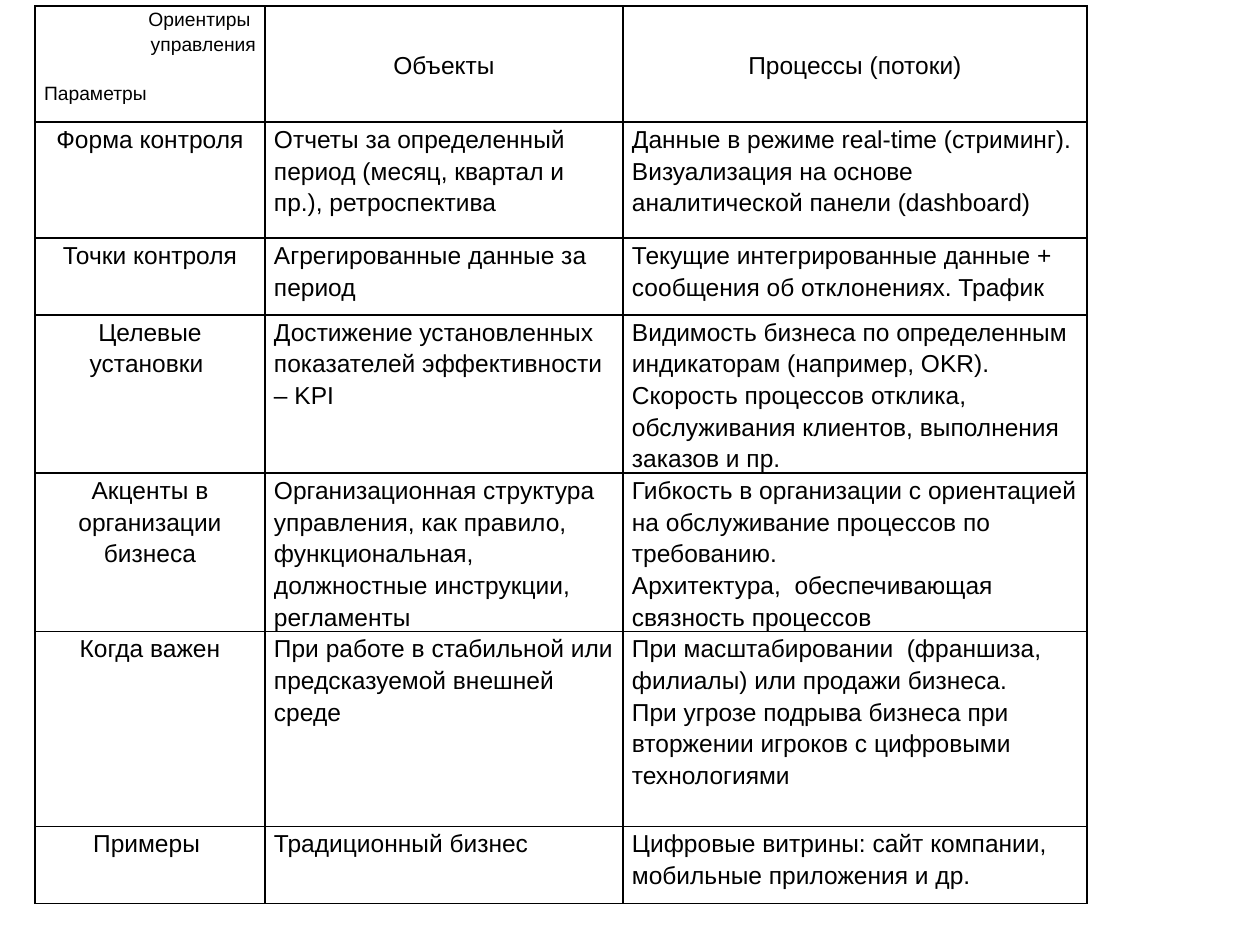
"""Build a slide with a table comparing object and process management."""
from dataclasses import dataclass

from lxml import etree
from pptx import Presentation
from pptx.dml.color import RGBColor
from pptx.enum.text import MSO_ANCHOR, PP_ALIGN
from pptx.oxml.ns import qn
from pptx.util import Pt

PX = 914400 // 126


@dataclass(frozen=True)
class Theme:
    font: str = "Arial"
    text: str = "000000"
    border: str = "000000"
    body_size: int = 14
    corner_size: int = 11
    line_spacing: float = 1.15
    border_width: int = 1


THEME = Theme()
SLIDE_SIZE = (1260, 945)
TABLE_ORIGIN = (35, 6)
COLUMN_WIDTHS = (230, 358, 464)
ROW_HEIGHTS = (116, 116, 77, 157, 157, 195, 77)
CELL_INSET = 9
CORNER_GAP = 25

HEADERS = ("Объекты", "Процессы (потоки)")
ROWS = (
    ("Форма контроля",
     "Отчеты за определенный период (месяц, квартал и пр.), ретроспектива",
     "Данные в режиме real-time (стриминг). Визуализация на основе "
     "аналитической панели (dashboard)"),
    ("Точки контроля",
     "Агрегированные данные за период",
     "Текущие интегрированные данные + сообщения об отклонениях. Трафик"),
    ("Целевые установки ",
     "Достижение установленных показателей эффективности – KPI",
     "Видимость бизнеса по определенным индикаторам (например, OKR). "
     "Скорость процессов отклика, обслуживания клиентов, выполнения "
     "заказов и пр."),
    ("Акценты в организации бизнеса",
     "Организационная структура управления, как правило, функциональная, "
     "должностные инструкции, регламенты",
     "Гибкость в организации с ориентацией на обслуживание процессов по "
     "требованию.\nАрхитектура,  обеспечивающая связность процессов"),
    ("Когда важен",
     "При работе в стабильной или предсказуемой внешней среде",
     "При масштабировании  (франшиза, филиалы) или продажи бизнеса.\n"
     "При угрозе подрыва бизнеса при вторжении игроков с цифровыми "
     "технологиями"),
    ("Примеры ",
     "Традиционный бизнес",
     "Цифровые витрины: сайт компании, мобильные приложения и др."),
)


def px(value):
    return value * PX


def add_borders(cell):
    properties = cell._tc.get_or_add_tcPr()
    for position, side in enumerate(("a:lnL", "a:lnR", "a:lnT", "a:lnB")):
        line = etree.Element(qn(side), w=str(Pt(THEME.border_width)))
        fill = etree.SubElement(line, qn("a:solidFill"))
        etree.SubElement(fill, qn("a:srgbClr"), val=THEME.border)
        properties.insert(position, line)


def fill_cell(cell, text, align=PP_ALIGN.LEFT, anchor=MSO_ANCHOR.TOP,
              size=THEME.body_size):
    cell.fill.background()
    add_borders(cell)
    cell.margin_left = cell.margin_right = px(CELL_INSET)
    cell.margin_top = cell.margin_bottom = 0
    cell.vertical_anchor = anchor
    cell.text = text
    for paragraph in cell.text_frame.paragraphs:
        paragraph.alignment = align
        paragraph.line_spacing = THEME.line_spacing
        for run in paragraph.runs:
            run.font.name = THEME.font
            run.font.size = Pt(size)
            run.font.bold = False
            run.font.color.rgb = RGBColor.from_string(THEME.text)


def fill_corner(cell):
    fill_cell(cell, "Ориентиры \nуправления\nПараметры", PP_ALIGN.RIGHT,
              size=THEME.corner_size)
    parameters = cell.text_frame.paragraphs[-1]
    parameters.alignment = PP_ALIGN.LEFT
    parameters.space_before = px(CORNER_GAP)


def add_grid(slide):
    frame = slide.shapes.add_table(
        len(ROW_HEIGHTS), len(COLUMN_WIDTHS), *map(px, TABLE_ORIGIN),
        px(sum(COLUMN_WIDTHS)), px(sum(ROW_HEIGHTS)))
    table = frame.table
    table.first_row = table.horz_banding = False
    for column, width in zip(table.columns, COLUMN_WIDTHS):
        column.width = px(width)
    for row, height in zip(table.rows, ROW_HEIGHTS):
        row.height = px(height)
    return table


def add_comparison_table(slide):
    table = add_grid(slide)
    fill_corner(table.cell(0, 0))
    for column, header in enumerate(HEADERS, 1):
        fill_cell(table.cell(0, column), header, PP_ALIGN.CENTER,
                  MSO_ANCHOR.MIDDLE)
    for row, texts in enumerate(ROWS, 1):
        for column, text in enumerate(texts):
            align = PP_ALIGN.LEFT if column else PP_ALIGN.CENTER
            fill_cell(table.cell(row, column), text, align)


def main():
    presentation = Presentation()
    presentation.slide_width, presentation.slide_height = map(px, SLIDE_SIZE)
    slide = presentation.slides.add_slide(presentation.slide_layouts[6])
    add_comparison_table(slide)
    presentation.save("out.pptx")


main()
